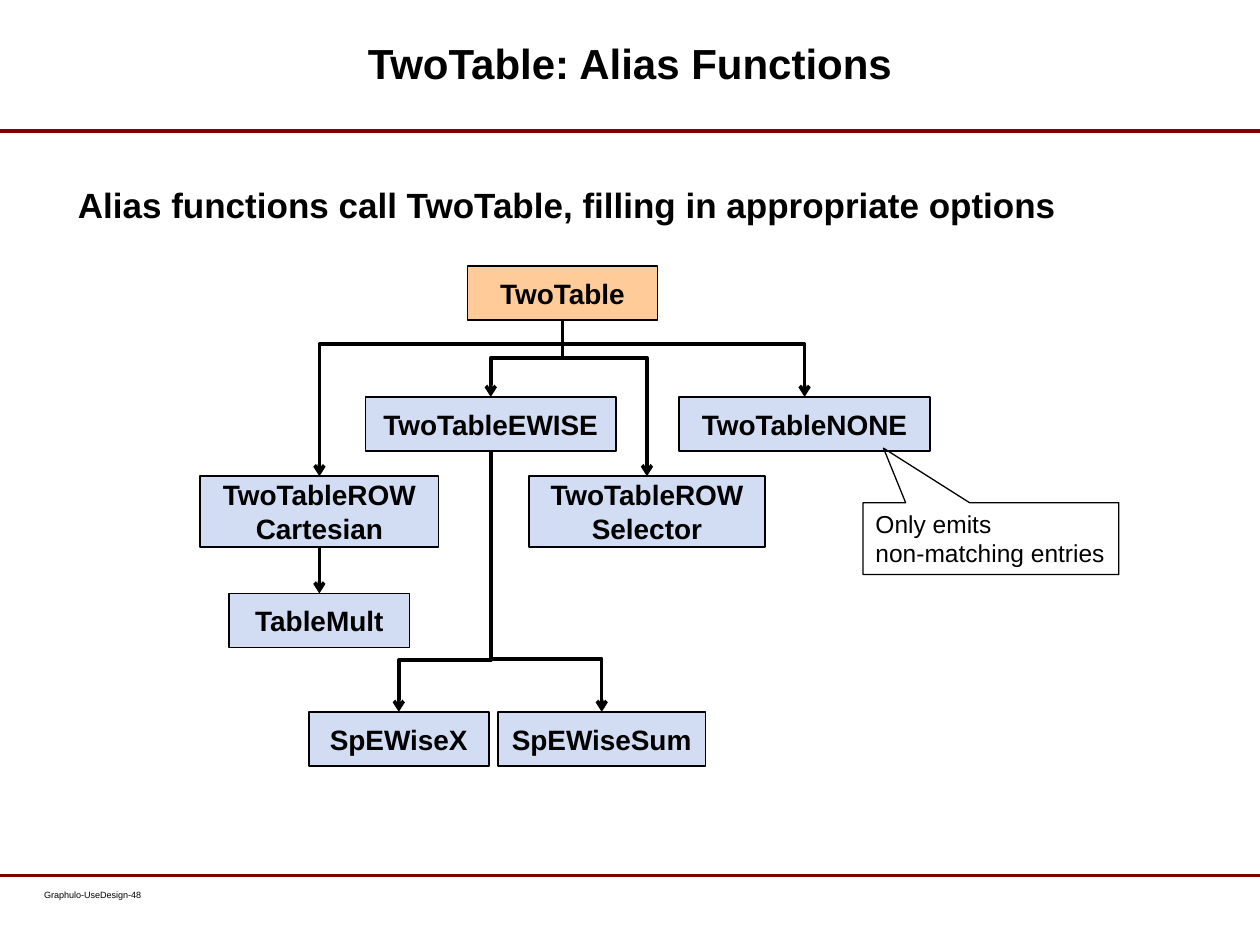
import pptx
import pptx.util
import pptx.dml.color
import pptx.enum.shapes
import pptx.enum.text
import pptx.oxml
import pptx.oxml.ns
from lxml import etree

Inches = pptx.util.Inches
Pt = pptx.util.Pt
SHAPES = pptx.enum.shapes.MSO_SHAPE
LINKS = pptx.enum.shapes.MSO_CONNECTOR
ANCHORS = pptx.enum.text.MSO_ANCHOR
ALIGNS = pptx.enum.text.PP_ALIGN
BLACK, MAROON, ORANGE, BLUE = "000000", "800000", "FFCC99", "D2DCF2"
ROW_EWISE, ROW_SPLIT, ROW_MULT, ROW_SPARSE = 3.15, 3.78, 4.71, 5.65
NODES = {
    "root": (3.71, 2.11, 1.51, 0.43, ORANGE, ["TwoTable"]),
    "cartesian": (1.59, ROW_SPLIT, 1.89, 0.56, BLUE, ["TwoTableROW", "Cartesian"]),
    "ewise": (2.9, ROW_EWISE, 1.99, 0.43, BLUE, ["TwoTableEWISE"]),
    "selector": (4.2, ROW_SPLIT, 1.87, 0.56, BLUE, ["TwoTableROW", "Selector"]),
    "none": (5.39, ROW_EWISE, 1.99, 0.43, BLUE, ["TwoTableNONE"]),
    "mult": (1.82, ROW_MULT, 1.43, 0.43, BLUE, ["TableMult"]),
    "times": (2.45, ROW_SPARSE, 1.43, 0.43, BLUE, ["SpEWiseX"]),
    "sum": (3.95, ROW_SPARSE, 1.65, 0.43, BLUE, ["SpEWiseSum"]),
}
BRANCHES = [
    ("root", "cartesian", 2.73),
    ("root", "none", 2.73),
    ("ewise", "times", 5.24),
    ("ewise", "sum", 5.23),
    ("root", "ewise", 2.84),
    ("root", "selector", 2.84),
]


def color(value):
    """Turn a hex string into a colour."""
    return pptx.dml.color.RGBColor.from_string(value)


def write(shape, lines, size, bold=False, align=ALIGNS.LEFT, anchor=ANCHORS.TOP, inset=(0.1, 0.05)):
    """Fill a shape with one paragraph of lines and return the paragraph."""
    frame = shape.text_frame
    frame.word_wrap = True
    frame.vertical_anchor = anchor
    frame.margin_left = frame.margin_right = Inches(inset[0])
    frame.margin_top = frame.margin_bottom = Inches(inset[1])
    para = frame.paragraphs[0]
    para.alignment = align
    for index, line in enumerate(lines):
        if index:
            para.add_line_break()
        span = para.add_run()
        span.text = line
        span.font.name = "Arial"
        span.font.size = Pt(size)
        span.font.bold = bold
        span.font.color.rgb = color(BLACK)
    return para


def add_text(page, box, lines, size, **style):
    """Add a text box and return its paragraph."""
    return write(page.shapes.add_textbox(*map(Inches, box)), lines, size, **style)


def add_link(page, kind, start, end, shade, weight):
    """Add a plain connector without a shadow."""
    link = page.shapes.add_connector(kind, *map(Inches, start + end))
    link.line.color.rgb = color(shade)
    link.line.width = Pt(weight)
    etree.SubElement(link._element.spPr, pptx.oxml.ns.qn("a:effectLst"))
    return link


def add_arrow(page, kind, parent, child):
    """Join the bottom of one node to the top of another with an arrow."""
    link = add_link(page, kind, (0, 0), (1, 1), BLACK, 2)
    link.begin_connect(parent, 2)
    link.end_connect(child, 0)
    tail = etree.SubElement(link.line._get_or_add_ln(), pptx.oxml.ns.qn("a:tailEnd"))
    tail.set("type", "arrow")
    return link


def bend(link, bus):
    """Turn an elbow so that it leaves downwards and crosses at the bus height."""
    run = link.end_x - link.begin_x
    drop = link.end_y - link.begin_y
    ratio = (Inches(bus) - link.begin_y) / drop
    middle_x = (link.begin_x + link.end_x) // 2
    middle_y = (link.begin_y + link.end_y) // 2
    link.left, link.top = middle_x - drop // 2, middle_y - abs(run) // 2
    link.width, link.height = drop, abs(run)
    frame = link._element.spPr.find(pptx.oxml.ns.qn("a:xfrm"))
    for name in ("flipH", "flipV"):
        frame.attrib.pop(name, None)
    frame.set("rot", str((270 if run > 0 else 90) * 60000))
    if run > 0:
        frame.set("flipH", "1")
    geometry = link._element.spPr.find(pptx.oxml.ns.qn("a:prstGeom"))
    guides = geometry.find(pptx.oxml.ns.qn("a:avLst"))
    if guides is None:
        guides = etree.SubElement(geometry, pptx.oxml.ns.qn("a:avLst"))
    guide = etree.SubElement(guides, pptx.oxml.ns.qn("a:gd"))
    guide.set("name", "adj1")
    guide.set("fmla", f"val {round(ratio * 100000)}")


def add_box(page, kind, box, fill, weight):
    """Add an outlined shape, filled when a colour is given."""
    shape = page.shapes.add_shape(kind, *map(Inches, box))
    shape.shadow.inherit = False
    if fill:
        shape.fill.solid()
        shape.fill.fore_color.rgb = color(fill)
    else:
        shape.fill.background()
    shape.line.color.rgb = color(BLACK)
    shape.line.width = Pt(weight)
    return shape


def add_frame(page, left, top, width, height):
    """Add the two rules, the page label, the title and the statement."""
    for rule in (1.04, 6.95):
        add_link(page, LINKS.STRAIGHT, (left, top + rule), (left + width, top + rule), MAROON, 1.75)
    add_text(page, (left + 0.35, top + 7.06, 1.19, 0.24), ["Graphulo-UseDesign-48"], 5.2, inset=(0, 0))
    title = add_text(page, (left + 1.03, top + 0.11, width - 2.06, 0.89), ["TwoTable: Alias Functions"],
                     24, bold=True, align=ALIGNS.CENTER, anchor=ANCHORS.MIDDLE)
    title.line_spacing = Pt(21)
    statement = add_text(page, (left + 0.52, top + 1.41, width - 1.04, height - 2.22),
                         ["Alias functions call TwoTable, filling in appropriate options"], 20, bold=True)
    statement.space_before = statement.space_after = Pt(3)


def add_tree(page, left, top):
    """Add the function boxes and the arrows between them."""
    nodes = {}
    for name, (x, y, width, height, fill, lines) in NODES.items():
        nodes[name] = add_box(page, SHAPES.RECTANGLE, (left + x, top + y, width, height), fill, 1)
        write(nodes[name], lines, 16, bold=True, align=ALIGNS.CENTER, anchor=ANCHORS.MIDDLE)
    add_arrow(page, LINKS.STRAIGHT, nodes["cartesian"], nodes["mult"])
    for parent, child, bus in BRANCHES:
        bend(add_arrow(page, LINKS.ELBOW, nodes[parent], nodes[child]), top + bus)


def add_callout(page, box):
    """Add the remark that points at the last alias."""
    callout = add_box(page, SHAPES.RECTANGULAR_CALLOUT, box, None, 0.75)
    callout.adjustments[0] = -0.42
    callout.adjustments[1] = -1.26
    write(callout, ["Only emits", "non-matching entries"], 14)


def main():
    """Build and save the deck."""
    deck = pptx.Presentation()
    deck.slide_width, deck.slide_height = Inches(10), Inches(7.5)
    page = deck.slides.add_slide(deck.slide_layouts[6])
    add_frame(page, 0, 0, 10, 7.5)
    add_tree(page, 0, 0)
    add_callout(page, (6.85, 3.99, 2.03, 0.57))
    deck.save("out.pptx")


if __name__ == "__main__":
    main()
